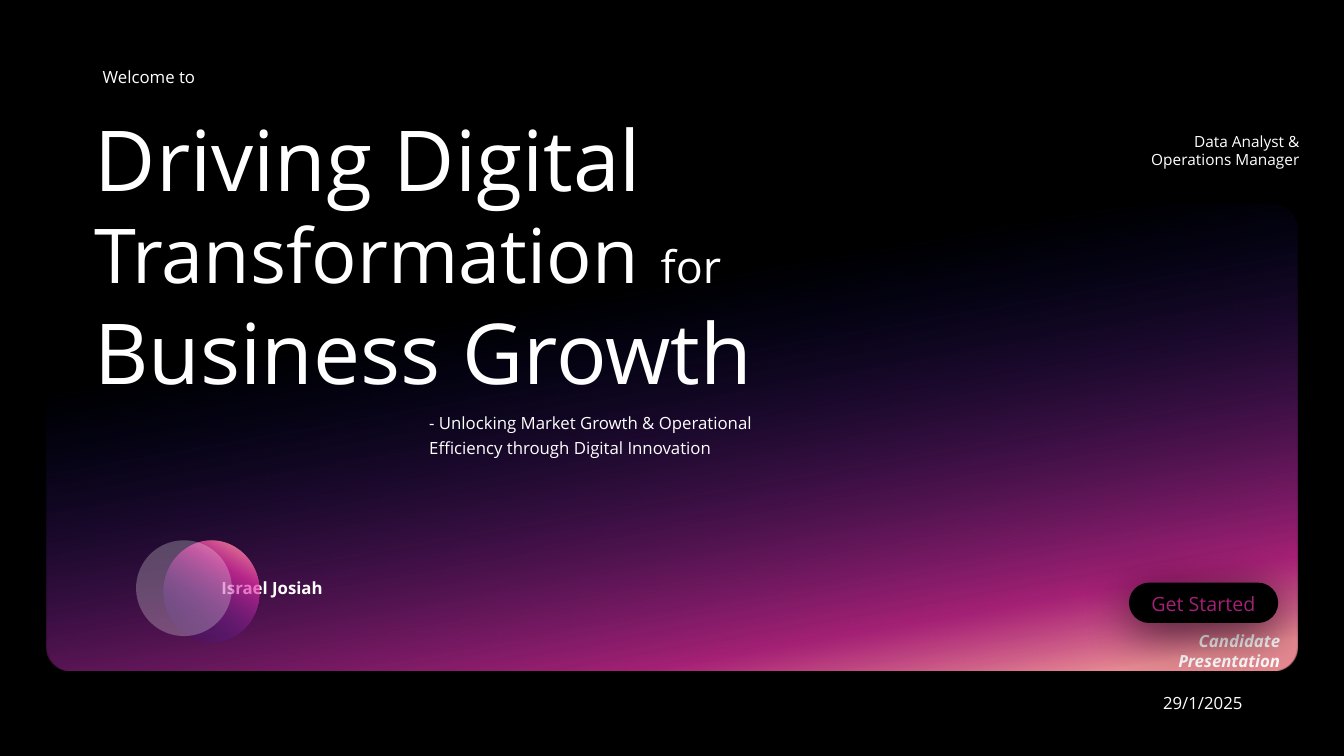
import pptx
import pptx.util
import pptx.dml.color
import pptx.enum.shapes
import pptx.enum.text
import pptx.oxml
import pptx.oxml.ns

Pt = pptx.util.Pt
Shape = pptx.enum.shapes.MSO_SHAPE
Align = pptx.enum.text.PP_ALIGN
NAMESPACE = pptx.oxml.ns.nsdecls("a")
COLORS = {"black": "000000", "white": "FFFFFF", "navy": "0C1A9C",
          "blue": "4052F0", "pink": "ED2FA9", "peach": "FF99A2"}
BODY = {"name": "Open Sans", "size": Pt(12)}
BOLD = {**BODY, "bold": True}


def rgb(name):
    return pptx.dml.color.RGBColor.from_string(COLORS[name])


def gradient(stops, angle):
    stops_xml = "".join(
        f'<a:gs pos="{position * 1000}"><a:srgbClr val="{COLORS[color]}">'
        f'<a:alpha val="{alpha * 1000}"/></a:srgbClr></a:gs>'
        for position, color, alpha in stops)
    return pptx.oxml.parse_xml(
        f'<a:gradFill {NAMESPACE} rotWithShape="1"><a:gsLst>{stops_xml}</a:gsLst>'
        f'<a:lin ang="{angle * 60000}" scaled="0"/></a:gradFill>')


def set_values(target, values):
    for name, value in values.items():
        setattr(target, name, value)


def place(shape, box):
    set_values(shape, dict(zip(("left", "top", "width", "height"), map(Pt, box))))


def write(shape, runs, align=Align.LEFT, wrap=True, spacing=1.0):
    frame = shape.text_frame
    set_values(frame, {"word_wrap": wrap,
                       "auto_size": pptx.enum.text.MSO_AUTO_SIZE.SHAPE_TO_FIT_TEXT,
                       "vertical_anchor": pptx.enum.text.MSO_ANCHOR.TOP})
    paragraph = frame.paragraphs[0]
    set_values(paragraph, {"alignment": align, "line_spacing": spacing})
    for index, (text, style) in enumerate(runs):
        for part_index, part in enumerate(text.split("\v")):
            if part_index:
                paragraph.add_line_break()
            run = paragraph.add_run()
            run.text = part
            set_values(run.font, style)
            run.font.color.rgb = rgb("white")
    return paragraph


def add_text(shapes, box, runs, **options):
    shape = shapes.add_textbox(*map(Pt, box))
    return write(shape, runs, **options)


def add_shape(shapes, kind, box, color="white", alpha=100, stops=None, angle=0, radius=None):
    shape = shapes.add_shape(kind, *map(Pt, box))
    shape.shadow.inherit = False
    shape.line.fill.background()
    shape.fill.solid()
    shape.fill.fore_color.rgb = rgb(color)
    solid = shape._element.spPr.find(pptx.oxml.ns.qn("a:solidFill"))
    if stops:
        solid.getparent().replace(solid, gradient(stops, angle))
    elif alpha < 100:
        solid[0].append(pptx.oxml.parse_xml(f'<a:alpha {NAMESPACE} val="{alpha * 1000}"/>'))
    if radius is not None:
        shape.adjustments[0] = radius
    return shape


def add_panel(slide, box):
    add_shape(slide.shapes, Shape.ROUNDED_RECTANGLE, box, radius=0.052, angle=80,
              stops=[(27, "navy", 0), (83, "pink", 69), (95, "peach", 90)])


def add_heading(slide, left, top):
    title = slide.shapes.title
    place(title, (left, top + 29.5, 409, 80))
    large = {**BODY, "size": Pt(60)}
    write(title, [("Driving Digital", large)], wrap=False)
    add_text(slide.shapes, (left, top + 95, 520.5, 152.5), [
        ("Transformation", {**BODY, "size": Pt(54)}), (" ", large),
        ("for", {**BODY, "size": Pt(32)}), (" Business Growth", large)])
    add_text(slide.shapes, (left + 5.8, top, 81.5, 21.8), [("Welcome to", BODY)], wrap=False)
    add_text(slide.shapes, (left + 239, top + 244.8, 281.5, 41), [
        ("- Unlocking Market Growth & Operational Efficiency through Digital Innovation", BODY)],
        spacing=1.2)


def add_presenter(slide, left, top):
    add_text(slide.shapes, (left + 52.5, top + 23, 88, 21.8), [("Israel Josiah", BOLD)],
             align=Align.RIGHT, wrap=False)
    add_shape(slide.shapes, Shape.OVAL, (left + 19.4, top, 68.4, 73.4), angle=300,
              stops=[(0, "navy", 0), (70, "pink", 69), (94, "peach", 90)])
    add_shape(slide.shapes, Shape.OVAL, (left, top, 68.4, 68.4), alpha=25)


def add_details(slide, left, top):
    add_text(slide.shapes, (left, top, 147, 34), [
        ("Data Analyst & Operations Manager", {**BODY, "size": Pt(11)})], align=Align.RIGHT)
    add_text(slide.shapes, (left + 35.3, top + 400.3, 72, 21.8), [("29/1/2025", BODY)], wrap=False)
    add_text(slide.shapes, (left, top + 356.4, 133.2, 36), [
        ("Candidate\vPresentation", {**BOLD, "italic": True})], align=Align.RIGHT, wrap=False)


def add_button(slide, left, top):
    group = slide.shapes.add_group_shape()
    pill = add_shape(group.shapes, Shape.ROUNDED_RECTANGLE, (left, top, 106.6, 28.8),
                     color="black", radius=0.5)
    effects = pill._element.spPr.find(pptx.oxml.ns.qn("a:effectLst"))
    effects.append(pptx.oxml.parse_xml(
        f'<a:outerShdw {NAMESPACE} blurRad="{Pt(36)}" dist="{Pt(7)}" dir="5400000" algn="t" '
        f'rotWithShape="0"><a:srgbClr val="{COLORS["black"]}"><a:alpha val="70000"/>'
        '</a:srgbClr></a:outerShdw>'))
    label = add_text(group.shapes, (left + 5, top + 2.9, 96.5, 24.5),
                     [("Get Started", {**BODY, "size": Pt(14)})], align=Align.CENTER)
    properties = label.runs[0]._r.get_or_add_rPr()
    solid = properties.find(pptx.oxml.ns.qn("a:solidFill"))
    properties.replace(solid, gradient(
        [(0, "blue", 100), (69, "pink", 69), (94, "peach", 90)], 300))


def add_cover(presentation):
    slide = presentation.slides.add_slide(presentation.slide_layouts[5])
    slide.background.fill.solid()
    slide.background.fill.fore_color.rgb = rgb("black")
    add_panel(slide, (33, 146.2, 893.5, 332.6))
    add_heading(slide, 60.5, 43.9)
    add_details(slide, 788.4, 90.7)
    add_presenter(slide, 97.2, 385.9)
    add_button(slide, 806.4, 416.2)


def main():
    presentation = pptx.Presentation()
    set_values(presentation, {"slide_width": Pt(960), "slide_height": Pt(540)})
    add_cover(presentation)
    presentation.save("out.pptx")


if __name__ == "__main__":
    main()
